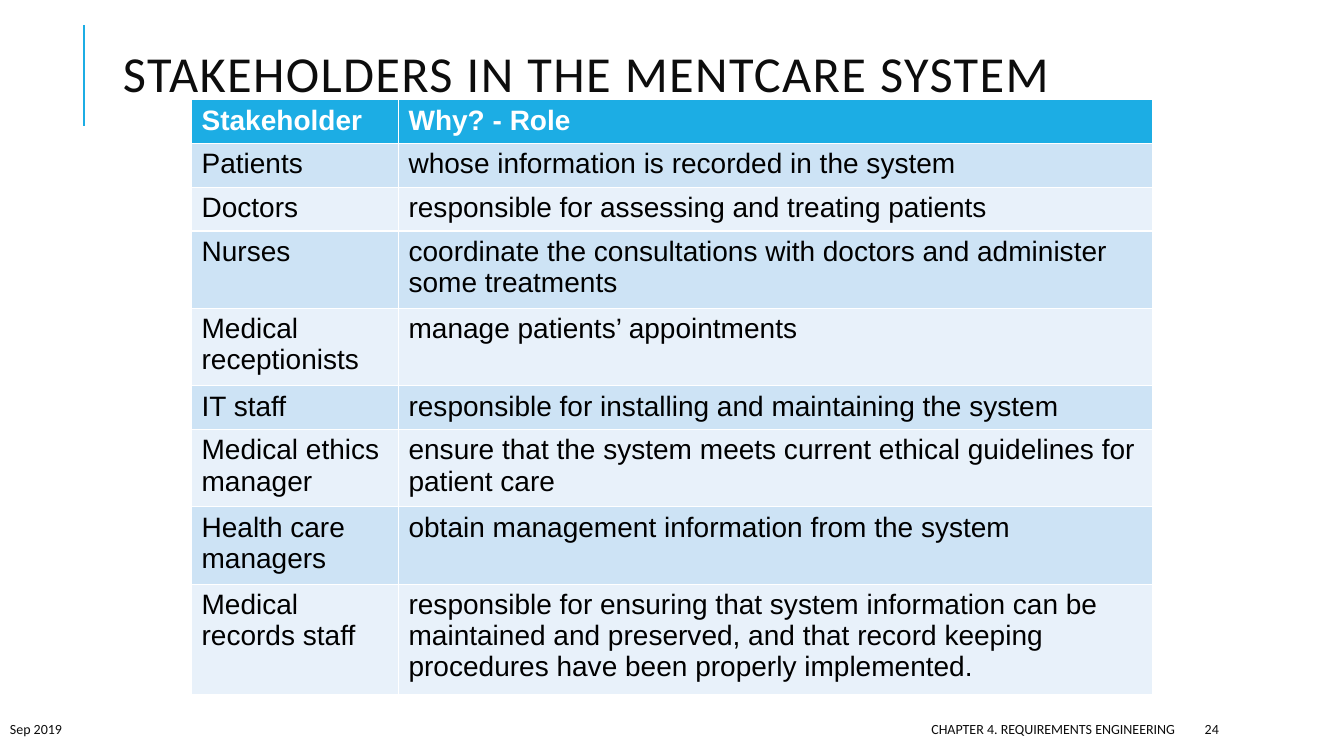
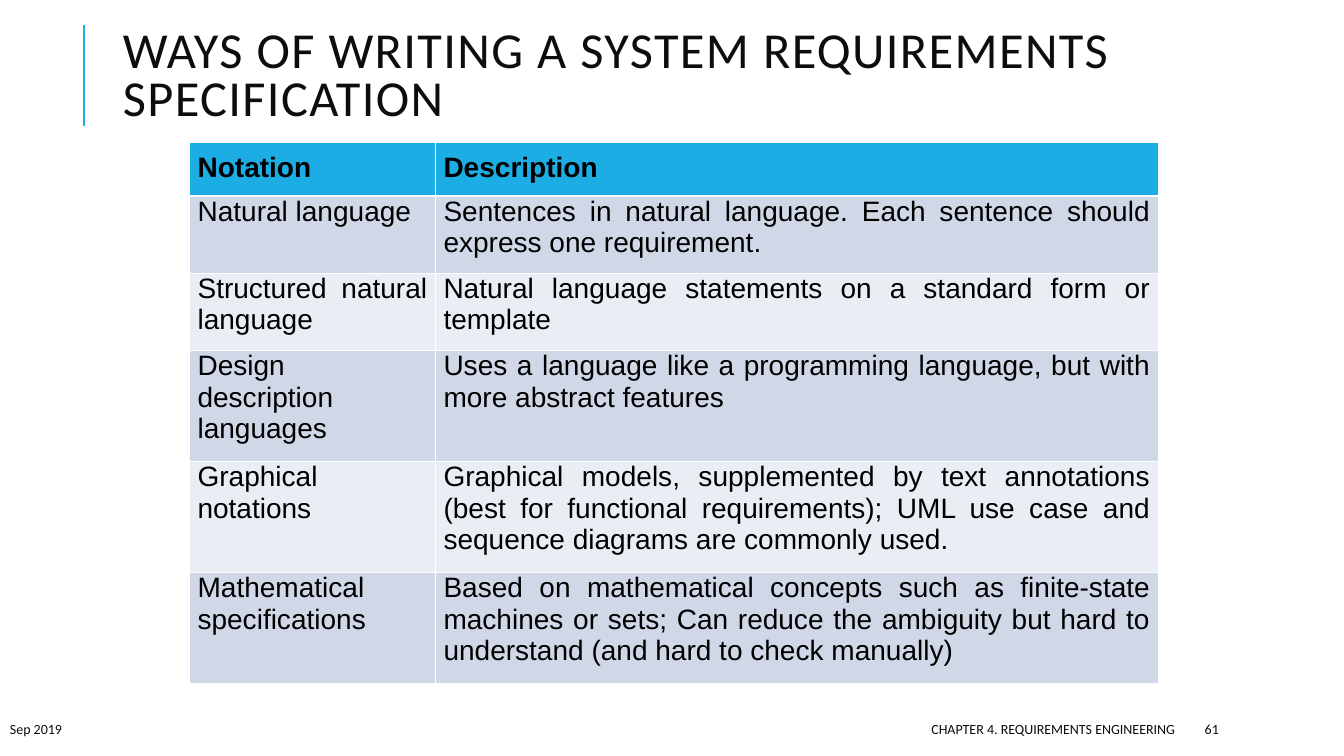
from pptx import Presentation
from pptx.dml.color import RGBColor
from pptx.enum.shapes import MSO_CONNECTOR
from pptx.enum.text import MSO_ANCHOR, MSO_AUTO_SIZE, PP_ALIGN
from pptx.util import Inches, Pt
from lxml.etree import SubElement
from pptx.oxml.ns import qn

BLUE = RGBColor(0x1C, 0xAD, 0xE4)
INK = RGBColor(0x0D, 0x0D, 0x0D)
BLACK = RGBColor(0, 0, 0)
WHITE = RGBColor(0xFF, 0xFF, 0xFF)
SKY = RGBColor(0xCD, 0xE3, 0xF5)
ICE = RGBColor(0xE8, 0xF1, 0xFA)
STEEL = RGBColor(0xD0, 0xD8, 0xE8)
MIST = RGBColor(0xE9, 0xED, 0xF4)

LEFT, RIGHT, JUST = PP_ALIGN.LEFT, PP_ALIGN.RIGHT, PP_ALIGN.JUSTIFY

deck = Presentation()
deck.slide_width, deck.slide_height = Inches(13.33), Inches(7.5)


def span(x, y, w, h):
    wide, high = deck.slide_width / 100, deck.slide_height / 100
    return int(x * wide), int(y * high), int(w * wide), int(h * high)


def style(para, name, size, color, align=LEFT, bold=False):
    para.alignment = align
    font = para.font
    font.name, font.size, font.bold = name, Pt(size), bold
    font.color.rgb = color


LINE, PAD = 4.13, 1.33

pages = [
    dict(
        title="STAKEHOLDERS IN THE MENTCARE SYSTEM",
        number="24",
        place=(14.25, 13.2),
        cols=(15.4, 56.1),
        head=WHITE,
        bands=(SKY, ICE),
        align=LEFT,
        side=0.1,
        tops=(0.05, 0.05),
        feet=(0.05, 0.05),
        rows=[
            (1, "Stakeholder", "Why? - Role"),
            (1, "Patients", "whose information is recorded in the system"),
            (1, "Doctors", "responsible for assessing and treating patients"),
            (2, "Nurses", "coordinate the consultations with doctors and administer some treatments"),
            (2, "Medical receptionists", "manage patients’ appointments"),
            (1, "IT staff", "responsible for installing and maintaining the system"),
            (2, "Medical ethics manager", "ensure that the system meets current ethical guidelines for patient care"),
            (2, "Health care managers", "obtain management information from the system"),
            (3, "Medical records staff", "responsible for ensuring that system information can be maintained and "
                "preserved, and that record keeping procedures have been properly implemented."),
        ],
    ),
    dict(
        title="WAYS OF WRITING A SYSTEM REQUIREMENTS SPECIFICATION",
        number="61",
        place=(14.1, 18.8),
        cols=(18.3, 53.8),
        head=BLACK,
        bands=(STEEL, MIST),
        align=JUST,
        side=0.08,
        tops=(0.1, 0),
        feet=(0.1, 0.1),
        rows=[
            (1, "Notation", "Description"),
            (2, "Natural language", "Sentences in natural language. Each sentence should express one requirement."),
            (2, "Structured natural language", "Natural language statements on a standard form or template"),
            (3, "Design description languages", "Uses a language like a programming language, but with more "
                "abstract features"),
            (3, "Graphical notations", "Graphical models, supplemented by text annotations (best for functional "
                "requirements); UML use case and sequence diagrams are commonly used."),
            (3, "Mathematical specifications", "Based on mathematical concepts such as finite-state machines or sets; "
                "Can reduce the ambiguity but hard to understand (and hard to check manually)"),
        ],
    ),
]

for page in pages:
    slide = deck.slides.add_slide(deck.slide_layouts[5])

    x, y, w, h = span(6.25, 3.33, 0, 13.33)
    rule = slide.shapes.add_connector(MSO_CONNECTOR.STRAIGHT, x, y + h, x, y)
    rule.line.color.rgb, rule.line.width = BLUE, Pt(1.5)
    SubElement(rule._element.spPr, qn("a:effectLst"))

    title = slide.shapes.title
    title.left, title.top, title.width, title.height = span(8.4, 1.5, 88.5, 17.7)
    frame = title.text_frame
    frame.text = page["title"]
    frame.auto_size, frame.vertical_anchor = MSO_AUTO_SIZE.NONE, MSO_ANCHOR.MIDDLE
    para = frame.paragraphs[0]
    style(para, "Calibri", 36, INK)
    para.line_spacing = 0.8
    para.font._element.set("spc", "100")

    for text, x, w, align in (
        ("CHAPTER 4. REQUIREMENTS ENGINEERING", 39.75, 48.4, RIGHT),
        (page["number"], 88.9, 8, LEFT),
        ("Sep 2019", 0, 17.7, LEFT),
    ):
        frame = slide.shapes.add_textbox(*span(x, 94.4, w, 4)).text_frame
        frame.word_wrap, frame.vertical_anchor = True, MSO_ANCHOR.MIDDLE
        frame.text = text
        style(frame.paragraphs[0], "Calibri", 10, INK, align)

    rows, cols = page["rows"], page["cols"]
    tall = [LINE * row[0] + PAD for row in rows]
    area = span(*page["place"], sum(cols), sum(tall))
    table = slide.shapes.add_table(len(rows), len(cols), *area).table
    table.horz_banding = False
    for col, wide in zip(table.columns, cols):
        col.width = span(0, 0, wide, 0)[2]

    for r, (count, *texts) in enumerate(rows):
        table.rows[r].height = span(0, 0, 0, tall[r])[3]
        top = r == 0
        for c, text in enumerate(texts):
            cell = table.cell(r, c)
            cell.text = text
            cell.fill.solid()
            cell.fill.fore_color.rgb = BLUE if top else page["bands"][(r - 1) % 2]
            cell.margin_left = cell.margin_right = Inches(page["side"])
            cell.margin_top = Inches(page["tops"][not top])
            cell.margin_bottom = Inches(page["feet"][not top])
            para = cell.text_frame.paragraphs[0]
            style(para, "Arial", 20, page["head"] if top else BLACK, page["align"], top)

deck.save("out.pptx")
